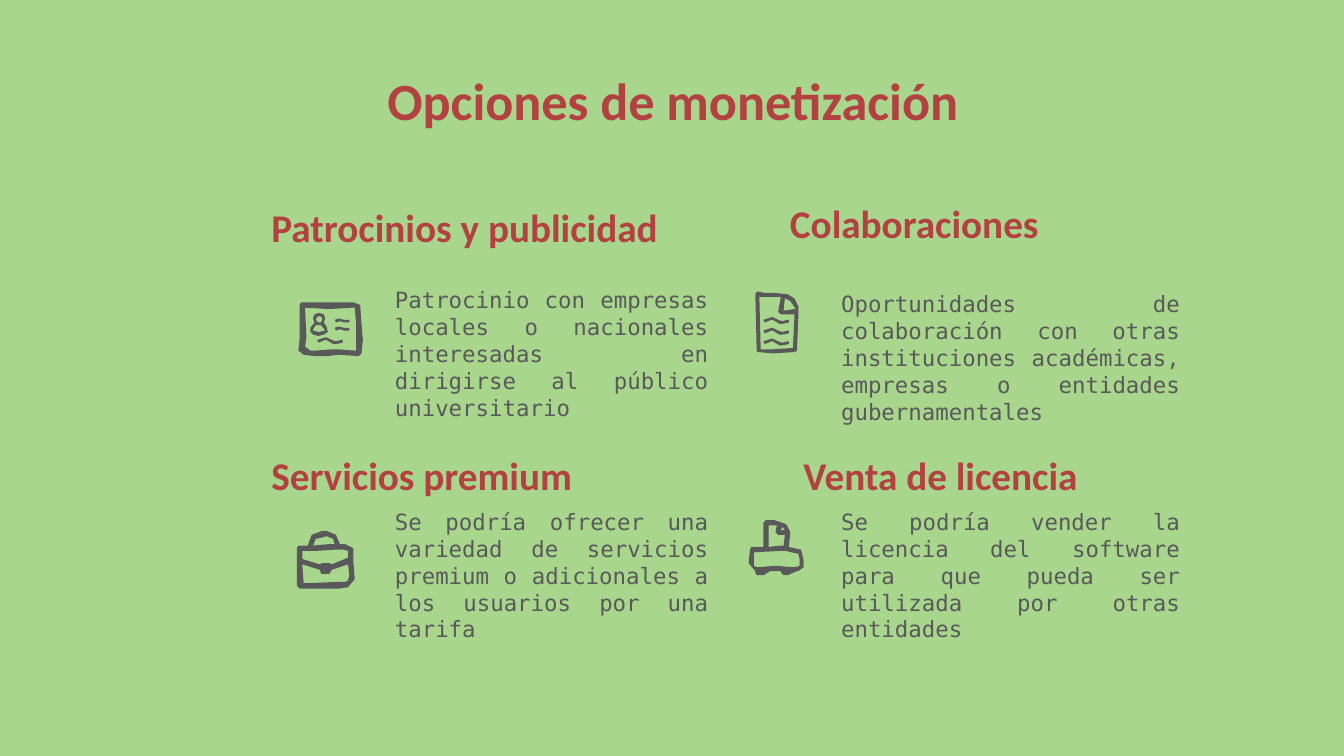
from pptx import Presentation
from pptx.dml.color import RGBColor
from pptx.enum.text import MSO_ANCHOR, PP_ALIGN
from pptx.util import Pt

COLORS = {"back": "A8D68C", "head": "B44141", "body": "595959"}
HEAD = {"font": "Calibri", "color": "head", "bold": True}
BODY = {"font": "DejaVu Sans Mono", "color": "body", "bold": False}
UNIT = 0.72  # points per step of the icon grid
INSET = 7.2

# Content: heading, its box (left, top, width), body, its box
TITLE = "Opciones de monetización"
CARDS = [
    ("Patrocinios y publicidad", (138.24, 102.24, 241.2),
     "Patrocinio con empresas locales o nacionales interesadas en "
     "dirigirse al público universitario", (204.48, 146.16, 182.16)),
    ("Colaboraciones", (416.16, 100.08, 155.52),
     "Oportunidades de colaboración con otras instituciones académicas, "
     "empresas o entidades gubernamentales", (443.52, 148.32, 195.84)),
    ("Servicios premium", (138.24, 235.44, 241.2),
     "Se podría ofrecer una variedad de servicios premium o adicionales "
     "a los usuarios por una tarifa", (204.48, 264.96, 182.16)),
    ("Venta de licencia", (423.36, 235.44, 191.52),
     "Se podría vender la licencia del software para que pueda ser "
     "utilizada por otras entidades", (443.52, 264.96, 195.84)),
]

# Icon outlines: a part is a list of closed rings, inner ones cut holes
WAVE = [[(7, 0), (1, 2), (2, 4), (7, 2), (8, 2), (13, 5), (15, 5), (20, 4),
         (20, 2), (19, 2), (15, 3), (12, 2), (8, 0)]]
RIPPLE = [[(4, 0), (1, 1), (2, 3), (5, 2), (8, 3), (9, 3), (12, 3), (12, 1),
           (11, 1), (9, 1), (8, 1)]]
PERSON = [
    [(8, 2), (10, 4), (9, 7), (7, 7), (5, 5), (6, 3)],
    [(5, 9), (7, 9), (9, 9), (12, 13), (8, 14), (7, 14), (3, 13), (3, 12)],
    [(7, 0), (4, 1), (3, 4), (4, 7), (1, 11), (1, 14), (3, 16), (7, 17),
     (11, 16), (14, 14), (13, 10), (11, 7), (12, 4), (11, 1), (8, 0)],
]
BADGE = [
    [(6, 4), (24, 5), (41, 4), (43, 4), (44, 16), (44, 36), (31, 35),
     (25, 35), (13, 36), (10, 36), (6, 33), (7, 26)],
    [(8, 0), (3, 0), (2, 2), (2, 27), (1, 36), (5, 39), (13, 40), (22, 40),
     (31, 39), (46, 40), (48, 38), (49, 28), (48, 16), (47, 2), (42, 0),
     (26, 0)],
]
PAGE = [
    [(23, 5), (27, 7), (31, 13), (30, 13), (24, 14), (22, 14)],
    [(4, 4), (20, 4), (18, 15), (20, 17), (24, 17), (30, 17), (30, 21),
     (29, 42), (14, 43), (5, 43)],
    [(2, 0), (1, 2), (2, 44), (3, 45), (14, 46), (30, 45), (32, 44),
     (33, 18), (33, 11), (30, 5), (25, 2), (15, 1), (8, 1), (3, 0)],
]
CASE = [
    [(22, 4), (27, 6), (28, 10), (23, 10), (12, 11), (14, 6), (19, 5)],
    [(35, 14), (38, 15), (38, 20), (26, 25), (24, 24), (19, 24), (17, 25),
     (4, 21), (4, 15), (14, 15), (29, 14)],
    [(38, 25), (39, 33), (38, 37), (36, 38), (30, 38), (8, 39), (5, 39),
     (4, 25), (17, 29), (18, 32), (24, 32), (26, 29)],
    [(22, 0), (19, 0), (11, 3), (8, 11), (1, 11), (0, 13), (0, 41), (2, 43),
     (8, 43), (31, 43), (38, 42), (43, 36), (42, 23), (42, 13), (36, 10),
     (32, 10), (29, 3)],
]
PRINTER = [
    [(27, 5), (29, 7), (26, 8)],
    [(17, 4), (23, 4), (22, 9), (24, 11), (29, 11), (28, 19), (25, 19),
     (17, 20)],
    [(25, 23), (30, 23), (34, 24), (39, 25), (40, 29), (40, 34), (37, 35),
     (34, 35), (22, 34), (10, 35), (8, 35), (6, 34), (6, 30), (6, 24)],
    [(15, 0), (13, 2), (13, 20), (4, 20), (3, 22), (2, 32), (7, 38), (7, 39),
     (8, 41), (13, 41), (18, 38), (26, 38), (26, 39), (28, 41), (31, 41),
     (38, 38), (39, 38), (43, 35), (43, 30), (41, 22), (32, 20), (33, 9),
     (30, 3), (21, 0)],
]
# Icons: left, top, then parts as (right, down, rings) in grid steps
ICONS = [
    (159.12, 284.4, [(0, 0, CASE)]),
    (403.92, 156.24, [(0, 0, PAGE)] + [(6, 19 + 8 * i, WAVE)
                                       for i in range(3)]),
    (159.12, 162, [(0, 0, BADGE), (9, 8, PERSON), (27, 12, RIPPLE),
                   (27, 18, RIPPLE), (14, 26, WAVE)]),
    (399.6, 278.64, [(0, 0, PRINTER)]),
]


def tint(name):
    return RGBColor.from_string(COLORS[name])


def write(slide, text, box, size, style, align, anchor=MSO_ANCHOR.TOP):
    frame = slide.shapes.add_textbox(*map(Pt, box)).text_frame
    frame.word_wrap = True
    frame.vertical_anchor = anchor
    frame.margin_left = frame.margin_right = Pt(INSET)
    frame.margin_top = frame.margin_bottom = Pt(INSET)
    frame.text = text
    para = frame.paragraphs[0]
    para.alignment = align
    font = para.runs[0].font
    font.name, font.size, font.bold = style["font"], Pt(size), style["bold"]
    font.color.rgb = tint(style["color"])
    return para


def trace(shapes, left, top, rings):
    first, *rest = rings
    pen = shapes.build_freeform(*first[0], scale=Pt(UNIT))
    pen.add_line_segments(first[1:], close=True)
    for ring in rest:
        pen.move_to(*ring[0])
        pen.add_line_segments(ring[1:], close=True)
    shape = pen.convert_to_shape(Pt(left), Pt(top))
    shape.shadow.inherit = False
    shape.fill.solid()
    shape.fill.fore_color.rgb = tint("body")
    shape.line.fill.background()


def main():
    deck = Presentation()
    deck.slide_width, deck.slide_height = Pt(720), Pt(405)
    slide = deck.slides.add_slide(deck.slide_layouts[6])
    slide.background.fill.solid()
    slide.background.fill.fore_color.rgb = tint("back")

    # Headings and bodies
    for head, spot, body, area in CARDS:
        write(slide, head, (*spot, 38.16), 21, HEAD, PP_ALIGN.LEFT,
              MSO_ANCHOR.MIDDLE)
        write(slide, body, (*area, 56.16), 12, BODY, PP_ALIGN.JUSTIFY)

    # Slide title
    para = write(slide, TITLE, (151.92, 36, 416.88, 45.36), 28, HEAD,
                 PP_ALIGN.CENTER)
    para.line_spacing = 0.8

    # Icons, grouped when they have several parts
    for left, top, parts in ICONS:
        shapes = slide.shapes
        if len(parts) > 1:
            shapes = shapes.add_group_shape().shapes
        for right, down, rings in parts:
            trace(shapes, left + right * UNIT, top + down * UNIT, rings)

    deck.save("out.pptx")


if __name__ == "__main__":
    main()
